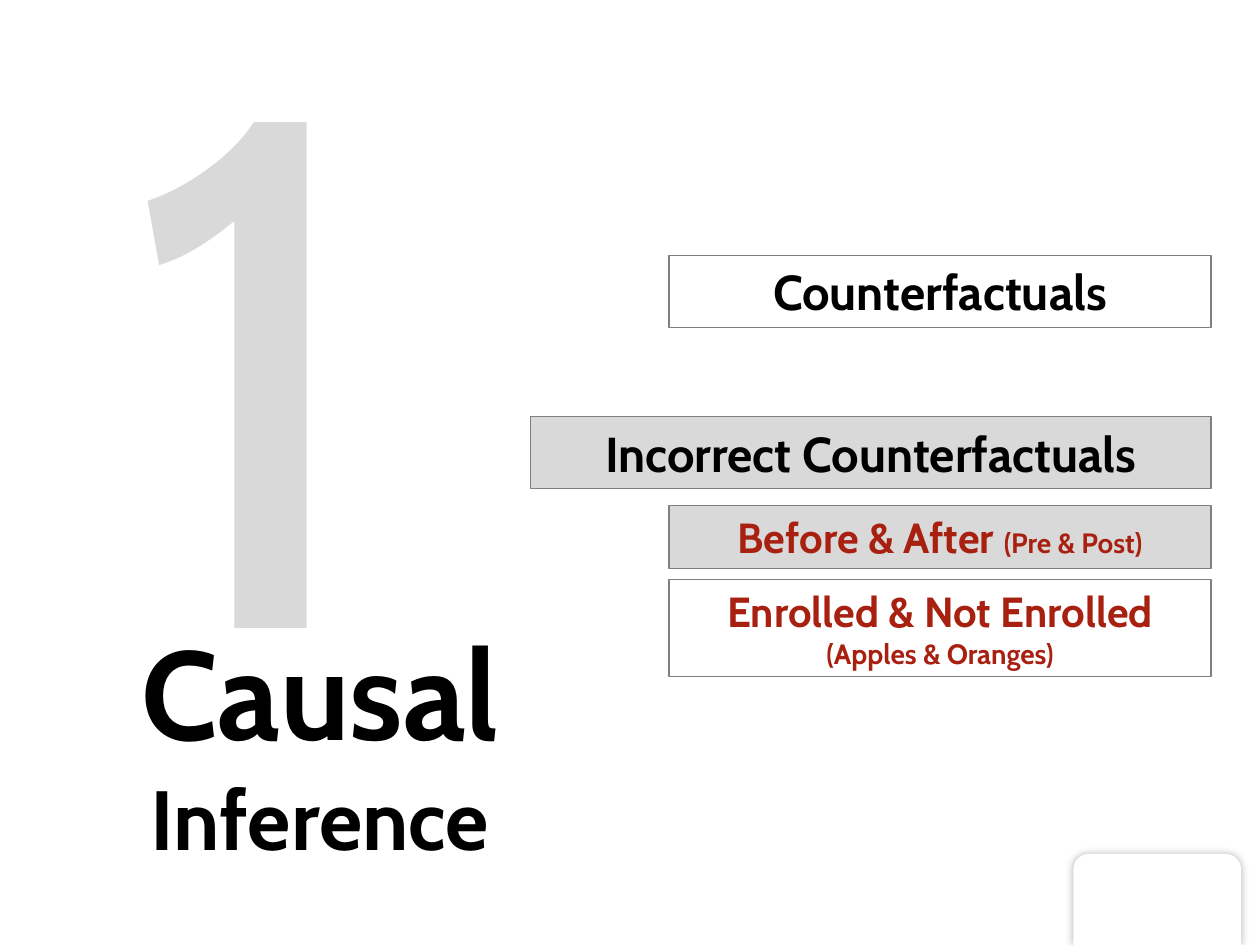
from dataclasses import dataclass

from lxml import etree
from pptx import Presentation
from pptx.dml.color import RGBColor
from pptx.enum.shapes import MSO_SHAPE
from pptx.enum.text import MSO_ANCHOR, MSO_AUTO_SIZE, PP_ALIGN
from pptx.oxml.ns import qn
from pptx.util import Pt

RECTANGLE = MSO_SHAPE.RECTANGLE
ROUNDED_TOP = MSO_SHAPE.ROUND_2_SAME_RECTANGLE
TOP = MSO_ANCHOR.TOP
GROW = MSO_AUTO_SIZE.SHAPE_TO_FIT_TEXT
LEFT, CENTER = PP_ALIGN.LEFT, PP_ALIGN.CENTER


@dataclass(frozen=True)
class Theme:
    font: str = "Cabin"
    black: RGBColor = RGBColor(0x00, 0x00, 0x00)
    white: RGBColor = RGBColor(0xFF, 0xFF, 0xFF)
    gray: RGBColor = RGBColor(0xD9, 0xD9, 0xD9)
    border: RGBColor = RGBColor(0x80, 0x80, 0x80)
    red: RGBColor = RGBColor(0xA8, 0x20, 0x10)
    numeral: float = 413
    title: float = 72
    subtitle: float = 48
    topic: float = 28
    example: float = 24
    remark: float = 16


THEME = Theme()
TOPICS_RIGHT = 692


@dataclass(frozen=True)
class Phrase:
    text: str
    size: float


@dataclass(frozen=True)
class Topic:
    top: float
    width: float
    height: float
    phrases: tuple[Phrase, ...]
    color: RGBColor = THEME.black
    highlighted: bool = False


TOPICS = (
    Topic(146, 309.6, 41, (Phrase("Counterfactuals", THEME.topic),)),
    Topic(238.2, 388.8, 41, (Phrase("Incorrect Counterfactuals", THEME.topic),),
          highlighted=True),
    Topic(288.8, 309.6, 36.2,
          (Phrase("Before & After ", THEME.example),
           Phrase("(Pre & Post)", THEME.remark)),
          THEME.red, highlighted=True),
    Topic(331.2, 309.6, 55.4,
          (Phrase("Enrolled & Not Enrolled ", THEME.example),
           Phrase("(Apples & Oranges)", THEME.remark)),
          THEME.red),
)


def write(shape, phrases: tuple[Phrase, ...], color: RGBColor, bold: bool = True,
          align: PP_ALIGN = CENTER, wrap: bool = True) -> None:
    """Fill a shape with one paragraph whose phrases differ only in size."""
    frame = shape.text_frame
    frame.word_wrap = wrap
    frame.auto_size = GROW
    frame.vertical_anchor = TOP
    paragraph = frame.paragraphs[0]
    paragraph.alignment = align
    paragraph.font.name = THEME.font
    paragraph.font.bold = bold
    paragraph.font.color.rgb = color
    for phrase in phrases:
        run = paragraph.add_run()
        run.text = phrase.text
        run.font.size = Pt(phrase.size)


def add_soft_shadow(shape, blur: float, opacity: int) -> None:
    effects = shape._element.spPr.find(qn("a:effectLst"))
    shadow = etree.SubElement(effects, qn("a:outerShdw"), blurRad=str(Pt(blur)),
                              dist="0", dir="0", algn="ctr", rotWithShape="0")
    color = etree.SubElement(shadow, qn("a:srgbClr"), val=str(THEME.black))
    etree.SubElement(color, qn("a:alpha"), val=str(opacity * 1000))


def add_corner_tab(slide) -> None:
    tab = slide.shapes.add_shape(ROUNDED_TOP, Pt(613.4), Pt(488), Pt(95.8), Pt(52))
    tab.shadow.inherit = False
    tab.fill.solid()
    tab.fill.fore_color.rgb = THEME.white
    tab.line.fill.background()
    add_soft_shadow(tab, blur=5, opacity=30)


def add_chapter(slide) -> None:
    numeral = slide.shapes.add_textbox(Pt(63.4), Pt(-57.6), Pt(246.2), Pt(507.6))
    write(numeral, (Phrase("1", THEME.numeral),), THEME.gray,
          bold=False, align=LEFT, wrap=False)
    title = slide.shapes.add_textbox(Pt(28.1), Pt(347.8), Pt(309.6), Pt(152.6))
    write(title, (Phrase("Causal", THEME.title), Phrase(" Inference", THEME.subtitle)),
          THEME.black)


def add_topic(slide, topic: Topic) -> None:
    box = slide.shapes.add_shape(RECTANGLE, Pt(TOPICS_RIGHT - topic.width), Pt(topic.top),
                                 Pt(topic.width), Pt(topic.height))
    box.shadow.inherit = False
    if topic.highlighted:
        box.fill.solid()
        box.fill.fore_color.rgb = THEME.gray
    else:
        box.fill.background()
    box.line.color.rgb = THEME.border
    box.line.width = Pt(0.75)
    write(box, topic.phrases, topic.color)


def main() -> None:
    presentation = Presentation()
    presentation.slide_width, presentation.slide_height = Pt(720), Pt(540)
    slide = presentation.slides.add_slide(presentation.slide_layouts[6])
    add_corner_tab(slide)
    add_chapter(slide)
    for topic in TOPICS:
        add_topic(slide, topic)
    presentation.save("out.pptx")


if __name__ == "__main__":
    main()
